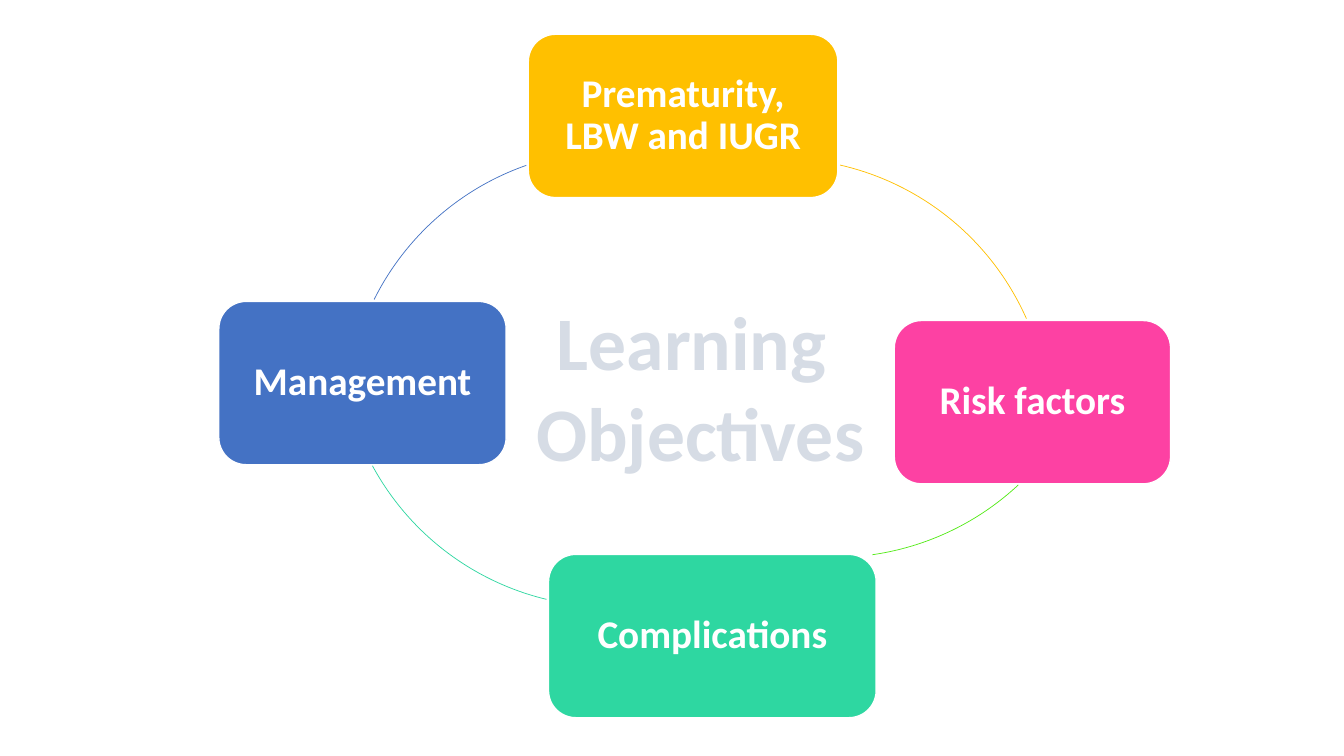
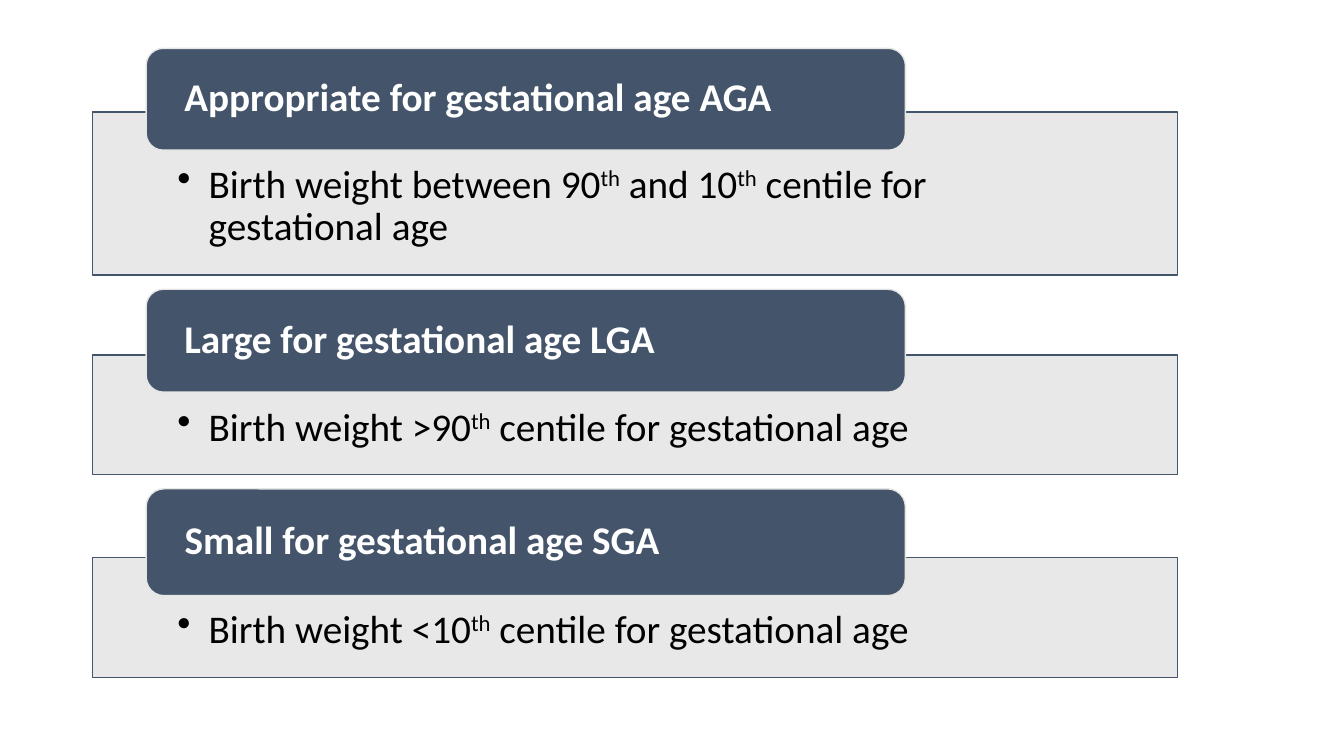
"""Build two slides: a cycle of learning objectives and birth weight classes."""
from lxml import etree
from pptx import Presentation
from pptx.dml.color import RGBColor
from pptx.enum.shapes import MSO_SHAPE
from pptx.enum.text import MSO_ANCHOR, PP_ALIGN
from pptx.oxml.ns import qn
from pptx.util import Pt

PX = 9144
ROUND, RECT, ARC = MSO_SHAPE.ROUNDED_RECTANGLE, MSO_SHAPE.RECTANGLE, MSO_SHAPE.ARC
MID, TOP = MSO_ANCHOR.MIDDLE, MSO_ANCHOR.TOP
LEFT, CENTER = PP_ALIGN.LEFT, PP_ALIGN.CENTER


class Theme:
    font = "Calibri"
    body, title = 28, 54
    edge, thin = 1, 0.5
    tight = 0.9
    white, black = "FFFFFF", "000000"
    navy, gray, pale = "44546A", "E7E6E6", "D6DCE5"
    gold, pink, mint, blue, lime = "FFC000", "FD41A3", "2ED7A1", "4472C4", "53EB17"


def add_box(slide, kind, at, fill, line, pad, anchor):
    box = slide.shapes.add_shape(kind, *[v * PX for v in at])
    box.shadow.inherit = False
    box.fill.solid()
    box.fill.fore_color.rgb = RGBColor.from_string(fill)
    box.line.color.rgb = RGBColor.from_string(line)
    box.line.width = Pt(Theme.edge)
    frame = box.text_frame
    frame.word_wrap = True
    frame.vertical_anchor = anchor
    frame.margin_left, frame.margin_top, frame.margin_right, frame.margin_bottom = [
        v * PX for v in pad]
    return box


def style(para, color, size=Theme.body, bold=True, align=LEFT, space=Theme.tight):
    para.alignment = align
    para.line_spacing = space
    for run in para.runs:
        run.font.name = Theme.font
        run.font.size = Pt(size)
        run.font.bold = bold
        run.font.color.rgb = RGBColor.from_string(color)


deck = Presentation()
deck.slide_width, deck.slide_height = 1333 * PX, 750 * PX
blank = deck.slide_layouts[6]

cycle = deck.slides.add_slide(blank)
topics = [
    ("Prematurity, LBW and IUGR", (524, 34, 307, 162), Theme.gold),
    ("Risk factors", (887, 318, 274, 162), Theme.pink),
    ("Complications", (544, 550, 325, 162), Theme.mint),
    ("Management", (217, 299, 285, 162), Theme.blue),
]
for text, at, color in topics:
    box = add_box(cycle, ROUND, at, color, Theme.white, (20, 20, 20, 20), MID)
    box.text_frame.text = text
    style(box.text_frame.paragraphs[0], Theme.white, align=CENTER)

ring = 535
arcs = [
    (506, 157, 282.9, 336.1, Theme.gold),
    (560, 18, 47, 81.9, Theme.lime),
    (337, 67, 103.5, 151.5, Theme.mint),
    (343, 149, 206.5, 250.7, Theme.blue),
]
for left, top, start, end, color in arcs:
    arc = cycle.shapes.add_shape(ARC, left * PX, top * PX, ring * PX, ring * PX)
    arc.shadow.inherit = False
    arc.adjustments[0], arc.adjustments[1] = start * 0.6, end * 0.6
    arc.fill.background()
    arc.line.color.rgb = RGBColor.from_string(color)
    arc.line.width = Pt(Theme.thin)

label = cycle.shapes.add_textbox(520 * PX, 288 * PX, 349 * PX, 192 * PX)
label.text_frame.word_wrap = False
label.text_frame.text = "Learning \nObjectives"
for para in label.text_frame.paragraphs:
    style(para, Theme.pale, Theme.title, align=CENTER, space=1.0)

sizes = deck.slides.add_slide(blank)
groups = [
    ("Appropriate for gestational age AGA", 48, 101, 111, 162,
     "Birth weight between 90^th^ and 10^th^ centile for gestational age"),
    ("Large for gestational age LGA", 287, 102, 352, 119,
     "Birth weight >90^th^ centile for gestational age"),
    ("Small for gestational age SGA", 485, 106, 553, 119,
     "Birth weight <10^th^ centile for gestational age"),
]
for head, top, high, low, deep, text in groups:
    panel = add_box(sizes, RECT, (92, low, 1076, deep), Theme.gray, Theme.navy,
                    (84, 52, 84, 22), TOP)
    tint = panel.fill._xPr.find(qn("a:solidFill"))[0]
    etree.SubElement(tint, qn("a:alpha")).set("val", "90000")
    para = panel.text_frame.paragraphs[0]
    props = para._p.get_or_add_pPr()
    props.set("marL", str(31 * PX))
    props.set("indent", str(-31 * PX))
    etree.SubElement(props, qn("a:buChar")).set("char", "•")
    for spot, part in enumerate(text.split("^")):
        run = para.add_run()
        run.text = part
        if spot % 2:
            run.font._element.set("baseline", "30000")
    style(para, Theme.black, bold=False)

    tab = add_box(sizes, ROUND, (145, top, 753, high), Theme.navy, Theme.gray,
                  (33, 5, 33, 5), MID)
    tab.text_frame.text = head
    style(tab.text_frame.paragraphs[0], Theme.white)

deck.save("out.pptx")
